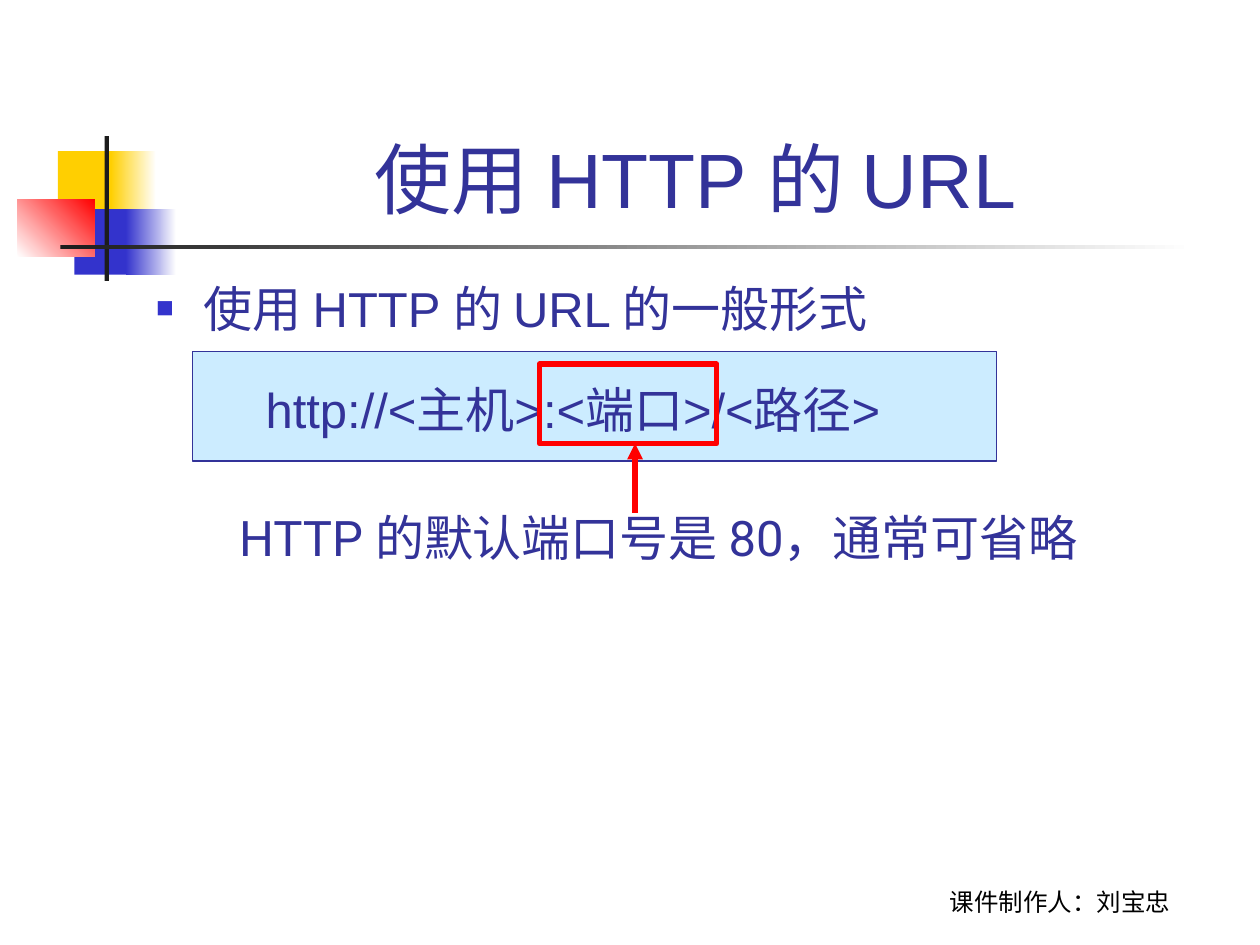
import dataclasses

import lxml.etree
import pptx
import pptx.dml.color
import pptx.enum.dml
import pptx.enum.shapes
import pptx.enum.text
import pptx.oxml.ns
import pptx.util

CELL = 0.1
COLUMNS, ROWS = 100, 75
SHAPES = pptx.enum.shapes.MSO_SHAPE
ALIGN = pptx.enum.text.PP_ALIGN
ANCHOR = pptx.enum.text.MSO_ANCHOR


@dataclasses.dataclass(frozen=True)
class Theme:
    """Colours, fonts and type sizes of the slide."""
    ink: str = "333399"
    blue: str = "3333CC"
    yellow: str = "FFCF01"
    red: str = "FF0000"
    dark: str = "1C1C1C"
    white: str = "FFFFFF"
    black: str = "000000"
    panel: str = "CCECFF"
    main_font: str = "Arial"
    note_font: str = "Roboto"
    title_size: int = 44
    text_size: int = 28
    credit_size: int = 14
    thin: float = 0.75
    thick: float = 3


THEME = Theme()


def grid(*cells):
    """Turn grid cells into lengths."""
    return [pptx.util.Inches(cell * CELL) for cell in cells]


def rgb(value):
    """Return a colour object for a hex value."""
    return pptx.dml.color.RGBColor.from_string(value)


def add_element(parent, tag, **attributes):
    """Append a drawing element to a parent element."""
    return lxml.etree.SubElement(parent, pptx.oxml.ns.qn(tag), attributes)


def style_line(line, color, width):
    """Set the colour and width of a line."""
    line.color.rgb = rgb(color)
    line.width = pptx.util.Pt(width)


def add_block(page, area, fill=None, border=None, width=THEME.thin):
    """Add a rectangle with an optional fill and border."""
    block = page.shapes.add_shape(SHAPES.RECTANGLE, *grid(*area))
    block.shadow.inherit = False
    if fill:
        block.fill.solid()
        block.fill.fore_color.rgb = rgb(fill)
    else:
        block.fill.background()
    if border:
        style_line(block.line, border, width)
    else:
        block.line.fill.background()
    return block


def add_fade(page, area, start, end, angle=0):
    """Add a borderless rectangle that fades between two colours."""
    block = add_block(page, area)
    block.fill.gradient()
    block.fill.gradient_angle = angle
    for stop, color, position in zip(block.fill.gradient_stops, (start, end), (0, 1)):
        stop.color.rgb = rgb(color)
        stop.position = position


def add_arrow(page, start, end, color, width):
    """Add a straight line with a triangle at its end."""
    straight = pptx.enum.shapes.MSO_CONNECTOR.STRAIGHT
    arrow = page.shapes.add_connector(straight, *grid(*start, *end))
    style_line(arrow.line, color, width)
    add_element(arrow.line._get_or_add_ln(), "a:tailEnd", type="triangle")
    add_element(arrow._element.spPr, "a:effectLst")


def style_para(para, text, size, font, color, align=ALIGN.LEFT):
    """Fill a paragraph and set its type."""
    para.text = text
    para.alignment = align
    para.font.size = pptx.util.Pt(size)
    para.font.name = font
    para.font.color.rgb = rgb(color)


def indent_para(para, left, first=0):
    """Set the left margin and first-line indent in grid cells."""
    margin, indent = grid(left, first)
    properties = para._p.get_or_add_pPr()
    properties.set("marL", str(margin))
    properties.set("indent", str(indent))
    return properties


def add_bullet(para, left):
    """Give a paragraph a hanging square bullet."""
    properties = indent_para(para, left, -left)
    color = add_element(properties, "a:buClr")
    add_element(color, "a:srgbClr", val=THEME.blue)
    add_element(properties, "a:buSzPct", val="60000")
    add_element(properties, "a:buFont", typeface=THEME.main_font)
    add_element(properties, "a:buChar", char="■")


def add_box(page, area, anchor=ANCHOR.TOP):
    """Add a wrapping text box and return its text frame."""
    frame = page.shapes.add_textbox(*grid(*area)).text_frame
    frame.word_wrap = True
    frame.vertical_anchor = anchor
    return frame


def add_ornament(page):
    """Draw the coloured squares and the crossing rules."""
    add_block(page, (4.6, 12, 4.8, 5.2), THEME.yellow)
    add_fade(page, (8.8, 12, 3.6, 5.2), THEME.yellow, THEME.white)
    add_block(page, (5.9, 16.6, 4.6, 5.2), THEME.blue)
    add_fade(page, (10, 16.6, 4, 5.2), THEME.blue, THEME.white)
    add_fade(page, (1.4, 15.8, 6.1, 4.6), THEME.white, THEME.red, 45)
    add_block(page, (8.3, 10.8, 0.35, 11.5), THEME.dark)
    add_fade(page, (4.8, 19.45, 90, 0.35), THEME.dark, THEME.white)


def set_title(page, text):
    """Move and format the title placeholder."""
    title = page.shapes.title
    title.left, title.top, title.width, title.height = grid(12.6, 2.3, 85.2, 16)
    frame = title.text_frame
    frame.auto_size = pptx.enum.text.MSO_AUTO_SIZE.NONE
    frame.vertical_anchor = ANCHOR.BOTTOM
    style_para(frame.paragraphs[0], text, THEME.title_size,
               THEME.main_font, THEME.ink, ALIGN.CENTER)


def add_url_form(page):
    """Write the bulleted heading and the URL pattern below it."""
    frame = add_box(page, (11.4, 21.6, 85, 15))
    heading = frame.paragraphs[0]
    add_bullet(heading, 3.8)
    pattern = frame.add_paragraph()
    indent_para(pattern, 8.7)
    pattern.space_before = pptx.util.Pt(24)
    lines = ("使用 HTTP 的 URL 的一般形式", "http://<主机>:<端口>/<路径>")
    for para, text in zip((heading, pattern), lines):
        style_para(para, text, THEME.text_size, THEME.main_font, THEME.ink)


def main():
    """Build the slide and save it."""
    deck = pptx.Presentation()
    deck.slide_width, deck.slide_height = grid(COLUMNS, ROWS)
    page = deck.slides.add_slide(deck.slide_layouts.get_by_name("Title Only"))
    add_ornament(page)
    credit = add_box(page, (68.3, 68.2, 31.7, 5), ANCHOR.BOTTOM)
    style_para(credit.paragraphs[0], "课件制作人：刘宝忠", THEME.credit_size,
               THEME.note_font, THEME.black, ALIGN.CENTER)
    add_block(page, (15.3, 27.9, 63.8, 8.7), THEME.panel, THEME.ink)
    set_title(page, "使用 HTTP 的 URL")
    add_url_form(page)
    add_block(page, (42.8, 28.9, 14.1, 6.3), border=THEME.red, width=THEME.thick)
    add_arrow(page, (50.4, 40.7), (50.4, 35.2), THEME.red, THEME.thick)
    note = add_box(page, (18, 39.8, 71.1, 5.7))
    style_para(note.paragraphs[0], "HTTP 的默认端口号是 80，通常可省略",
               THEME.text_size, THEME.note_font, THEME.ink)
    deck.save("out.pptx")


if __name__ == "__main__":
    main()
